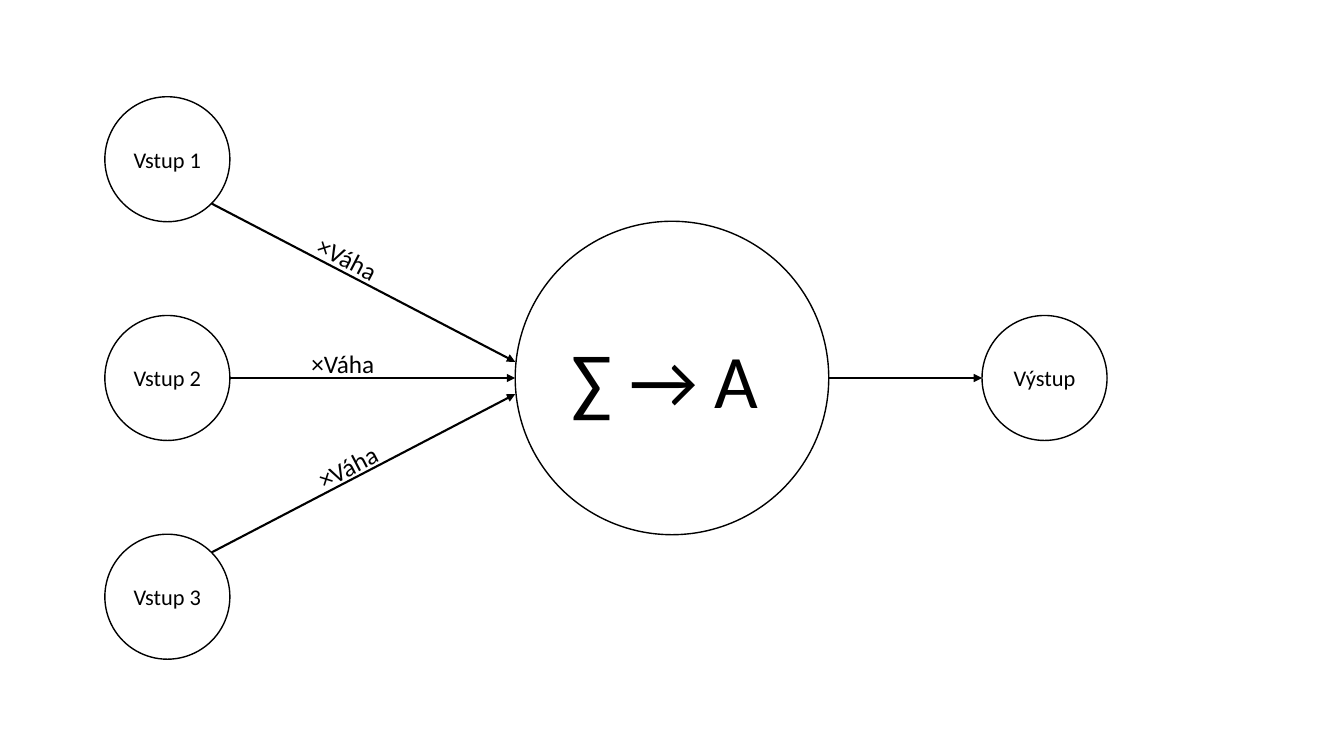
"""Draw a neuron with three weighted inputs, a sum with activation, and one output."""
from math import atan2, degrees

from lxml.etree import SubElement
from pptx import Presentation
from pptx.dml.color import RGBColor
from pptx.enum.shapes import MSO_CONNECTOR, MSO_SHAPE
from pptx.enum.text import MSO_ANCHOR, PP_ALIGN
from pptx.oxml.ns import qn
from pptx.util import Inches, Pt

WIDTH, HEIGHT = 13.33, 7.5
INPUT_COLUMN, NEURON_COLUMN, OUTPUT_COLUMN = 1.66, WIDTH / 2, 10.36
MIDDLE_ROW, ROW_STEP = HEIGHT / 2, 2.17
NODE_SIZE, NEURON_SIZE = 1.24, 3.11
NODE_RADIUS, NEURON_RADIUS = NODE_SIZE / 2, NEURON_SIZE / 2
DIAGONAL = NODE_RADIUS * 0.71
TIP_STEP = 0.16
LABEL_WIDTH, LABEL_HEIGHT = 0.94, 0.4
BLACK, WHITE = "000000", "FFFFFF"


def color(value):
    """Turn a hex string into a colour."""
    return RGBColor.from_string(value)


def write(shape, text, size, align):
    """Write one run of black text into a shape."""
    paragraph = shape.text_frame.paragraphs[0]
    paragraph.alignment = align
    run = paragraph.add_run()
    run.text = text
    run.font.name = "Calibri"
    run.font.size = Pt(size)
    run.font.color.rgb = color(BLACK)


presentation = Presentation()
presentation.slide_width = Inches(WIDTH)
presentation.slide_height = Inches(HEIGHT)
slide = presentation.slides.add_slide(presentation.slide_layouts[6])

nodes = [("∑ → A", NEURON_COLUMN, MIDDLE_ROW, NEURON_SIZE, 54, PP_ALIGN.LEFT)]
arrows = []
labels = []
for row, label_center in zip((-1, 0, 1), ((3.5, 2.59), (3.46, 3.61), (3.5, 4.6))):
    center_y = MIDDLE_ROW + row * ROW_STEP
    nodes.append((f"Vstup {row + 2}", INPUT_COLUMN, center_y, NODE_SIZE, 16, PP_ALIGN.CENTER))
    start_x = INPUT_COLUMN + (DIAGONAL if row else NODE_RADIUS)
    start_y = center_y - row * DIAGONAL
    end_x = NEURON_COLUMN - NEURON_RADIUS
    end_y = MIDDLE_ROW + row * TIP_STEP
    arrows.append((start_x, start_y, end_x, end_y))
    labels.append((*label_center, degrees(atan2(end_y - start_y, end_x - start_x))))
nodes.append(("Výstup", OUTPUT_COLUMN, MIDDLE_ROW, NODE_SIZE, 16, PP_ALIGN.CENTER))
arrows.append((NEURON_COLUMN + NEURON_RADIUS, MIDDLE_ROW, OUTPUT_COLUMN - NODE_RADIUS, MIDDLE_ROW))

for text, center_x, center_y, diameter, size, align in nodes:
    circle = slide.shapes.add_shape(
        MSO_SHAPE.OVAL,
        Inches(center_x - diameter / 2), Inches(center_y - diameter / 2),
        Inches(diameter), Inches(diameter),
    )
    circle.shadow.inherit = False
    circle.fill.solid()
    circle.fill.fore_color.rgb = color(WHITE)
    circle.line.color.rgb = color(BLACK)
    circle.line.width = Pt(1)
    circle.text_frame.vertical_anchor = MSO_ANCHOR.MIDDLE
    circle.text_frame.word_wrap = diameter == NEURON_SIZE
    write(circle, text, size, align)

for ends in arrows:
    arrow = slide.shapes.add_connector(MSO_CONNECTOR.STRAIGHT, *map(Inches, ends))
    arrow.line.color.rgb = color(BLACK)
    arrow.line.width = Pt(1.5)
    SubElement(arrow.line._get_or_add_ln(), qn("a:tailEnd"), type="triangle")
    SubElement(arrow._element.spPr, qn("a:effectLst"))

for center_x, center_y, angle in labels:
    label = slide.shapes.add_textbox(
        Inches(center_x - LABEL_WIDTH / 2), Inches(center_y - LABEL_HEIGHT / 2),
        Inches(LABEL_WIDTH), Inches(LABEL_HEIGHT),
    )
    label.rotation = angle
    label.text_frame.word_wrap = True
    write(label, "×Váha", 18, PP_ALIGN.LEFT)

presentation.save("out.pptx")
